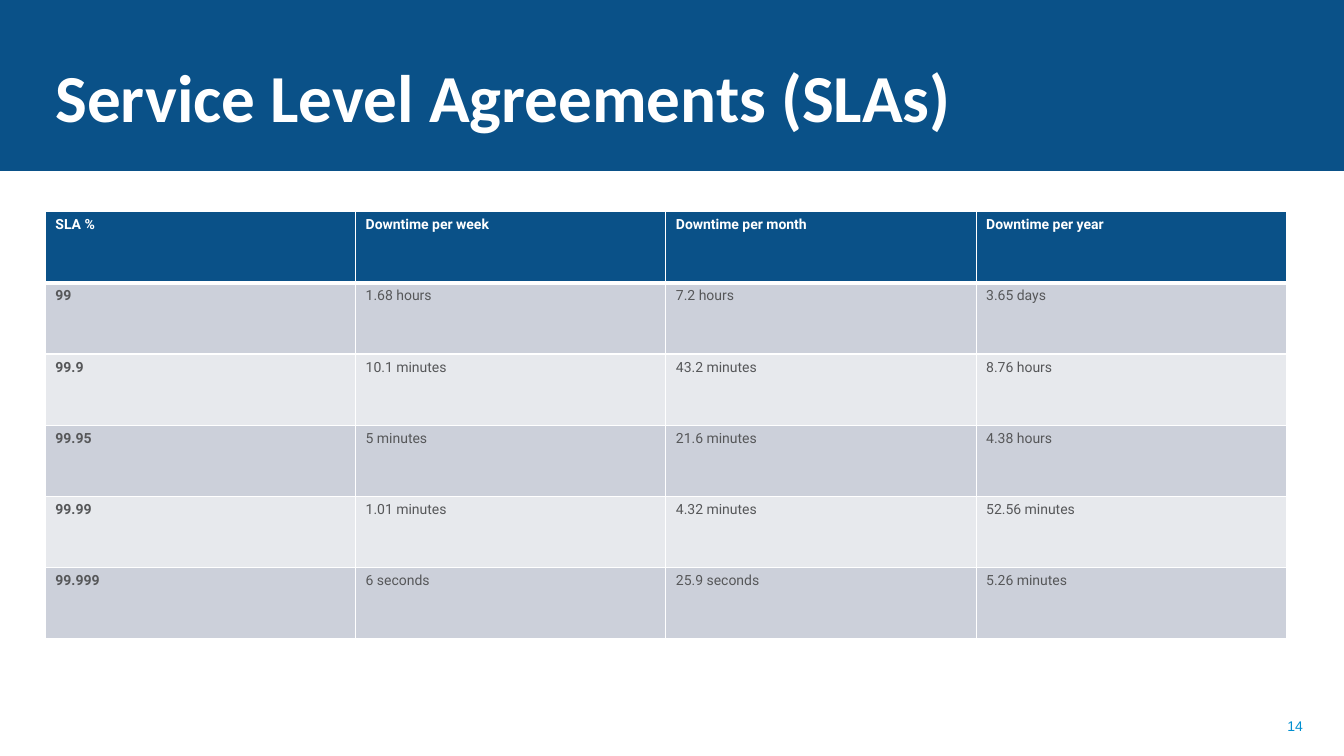
from dataclasses import dataclass

from lxml import etree
from pptx import Presentation
from pptx.dml.color import RGBColor
from pptx.enum.shapes import MSO_SHAPE
from pptx.enum.text import MSO_ANCHOR, PP_ALIGN
from pptx.oxml.ns import qn
from pptx.util import Inches, Pt

RECT = MSO_SHAPE.RECTANGLE
LEFT, RIGHT = PP_ALIGN.LEFT, PP_ALIGN.RIGHT
MIDDLE, BOTTOM = MSO_ANCHOR.MIDDLE, MSO_ANCHOR.BOTTOM


@dataclass(frozen=True)
class Theme:
    """Colours, fonts and type sizes of the slide."""
    navy: str = "0A5188"
    sky: str = "008FD0"
    white: str = "FFFFFF"
    ink: str = "565759"
    bands: tuple = ("CCD0DA", "E7E9ED")
    head: str = "Calibri"
    body: str = "Roboto"
    foot: str = "Arial"
    big: int = 48
    small: int = 10
    thin: int = 1
    thick: int = 3


THEME = Theme()

ROWS = [
    ("SLA %", "Downtime per week", "Downtime per month", "Downtime per year"),
    ("99", "1.68 hours", "7.2 hours", "3.65 days"),
    ("99.9", "10.1 minutes", "43.2 minutes", "8.76 hours"),
    ("99.95", "5 minutes", "21.6 minutes", "4.38 hours"),
    ("99.99", "1.01 minutes", "4.32 minutes", "52.56 minutes"),
    ("99.999", "6 seconds", "25.9 seconds", "5.26 minutes"),
]


def paint(fill, color):
    """Give a fill one solid colour."""
    fill.solid()
    fill.fore_color.rgb = RGBColor.from_string(color)


def style(para, name, size, color, bold=False):
    """Set the font of a paragraph."""
    font = para.font
    font.name, font.size, font.bold = name, Pt(size), bold
    font.color.rgb = RGBColor.from_string(color)


def label(slide, box, text, anchor, align, *font):
    """Place a line of text in a box."""
    frame = slide.shapes.add_textbox(*map(Inches, box)).text_frame
    frame.word_wrap = True
    frame.vertical_anchor = anchor
    para = frame.paragraphs[0]
    para.text, para.alignment = text, align
    style(para, *font)


def banner(slide, box, title):
    """Draw the title band with its heading."""
    left, top, width, height = box
    band = slide.shapes.add_shape(RECT, *map(Inches, box))
    band.shadow.inherit = False
    paint(band.fill, THEME.navy)
    paint(band.line.fill, THEME.navy)
    band.line.width = Pt(THEME.thin)
    label(slide, (left + 0.45, top + 0.14, width - 3.35, height - 0.43), title,
          BOTTOM, LEFT, THEME.head, THEME.big, THEME.white, True)


def border(cell, side, width):
    """Draw one white edge of a table cell."""
    props = cell._tc.get_or_add_tcPr()
    line = etree.SubElement(props, qn(f"a:ln{side}"), w=str(Pt(width)))
    fill = etree.SubElement(line, qn("a:solidFill"))
    etree.SubElement(fill, qn("a:srgbClr"), val=THEME.white)


def grid(slide, box, rows):
    """Draw the table with a header row and banded body rows."""
    left, top, width, height = map(Inches, box)
    count, span = len(rows), len(rows[0])
    table = slide.shapes.add_table(count, span, left, top, width, height).table
    for y, row in enumerate(rows):
        table.rows[y].height = height // count
        back = THEME.bands[(y - 1) % 2] if y else THEME.navy
        edges = {"L": THEME.thin, "R": THEME.thin,
                 "T": THEME.thick if y == 1 else THEME.thin,
                 "B": THEME.thin if y else THEME.thick}
        for x, text in enumerate(row):
            cell = table.cell(y, x)
            for side, size in edges.items():
                border(cell, side, size)
            paint(cell.fill, back)
            para = cell.text_frame.paragraphs[0]
            para.text = text
            style(para, THEME.body, THEME.small,
                  THEME.ink if y else THEME.white, y == 0 or x == 0)


def main():
    """Build and save the slide."""
    deck = Presentation()
    deck.slide_width, deck.slide_height = Inches(13.33), Inches(7.5)
    slide = deck.slides.add_slide(deck.slide_layouts[6])
    banner(slide, (0, 0, 13.33, 1.69), "Service Level Agreements (SLAs)")
    label(slide, (9.91, 7, 3.11, 0.4), "14", MIDDLE, RIGHT,
          THEME.foot, THEME.small, THEME.sky)
    grid(slide, (0.45, 2.1, 12.31, 4.24), ROWS)
    deck.save("out.pptx")


if __name__ == "__main__":
    main()
